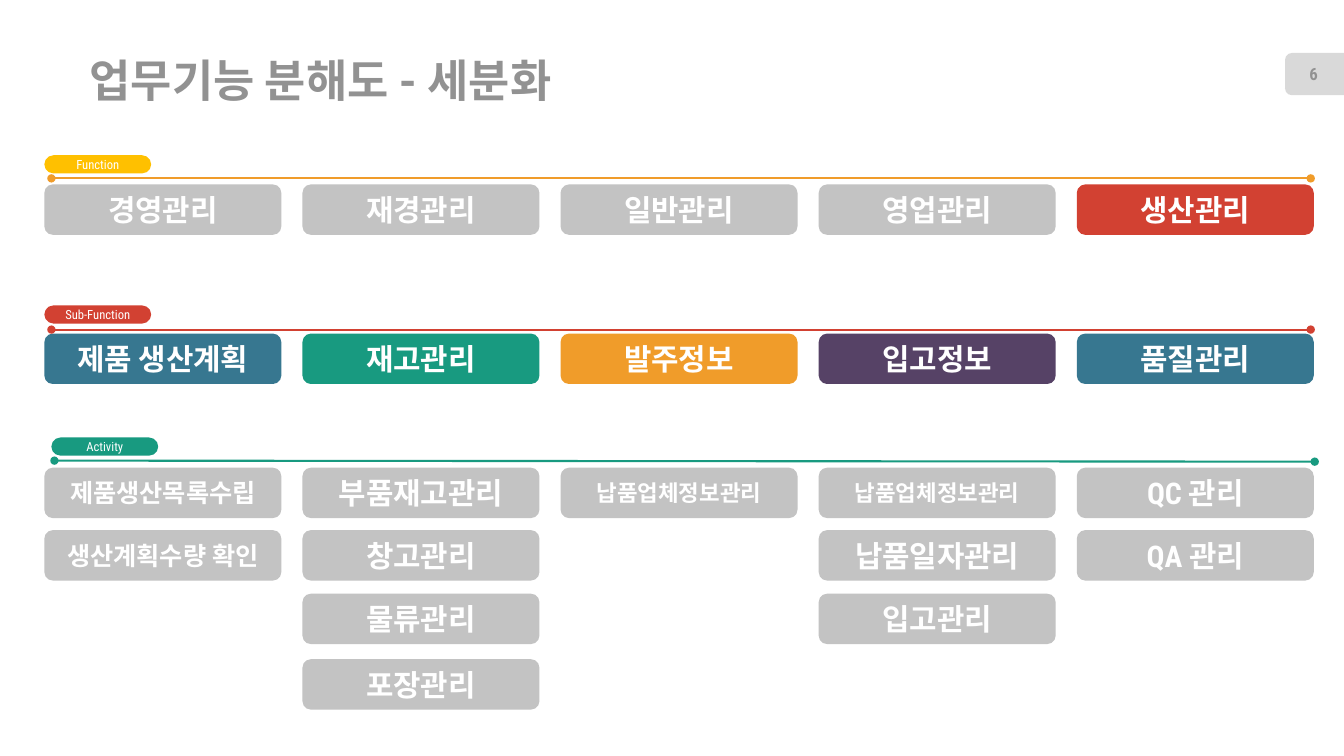
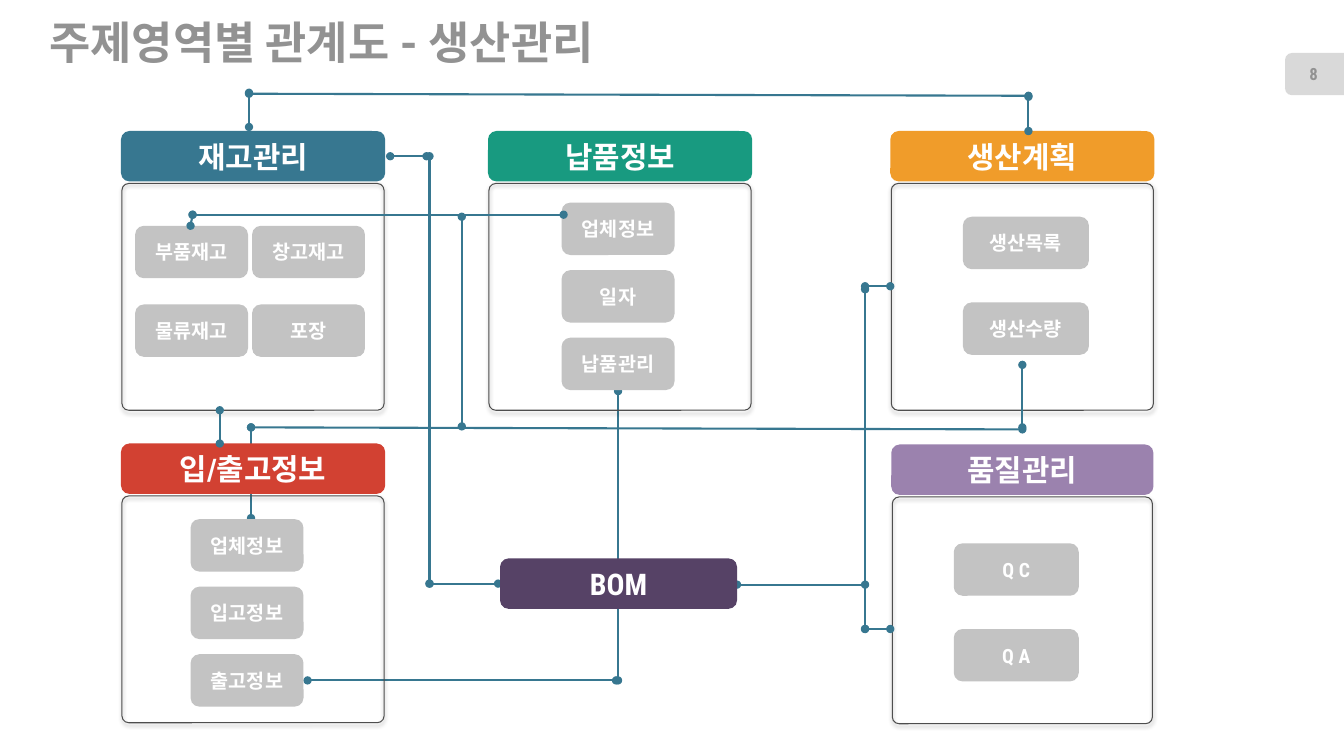
from pptx import Presentation
from pptx.dml.color import RGBColor
from pptx.enum.shapes import MSO_CONNECTOR, MSO_SHAPE
from pptx.enum.text import MSO_ANCHOR, MSO_AUTO_SIZE, PP_ALIGN
from pptx.oxml import parse_xml
from pptx.oxml.ns import nsdecls, qn
from pptx.util import Inches, Pt

WHITE = RGBColor(0xFF, 0xFF, 0xFF)
TITLE_GRAY = RGBColor(0x92, 0x92, 0x92)
BADGE_GRAY = RGBColor(0xD9, 0xD9, 0xD9)
BOX_GRAY = RGBColor(0xC3, 0xC3, 0xC3)
FRAME_GRAY = RGBColor(0x4E, 0x4E, 0x4E)
BLUE = RGBColor(0x37, 0x77, 0x90)
GREEN = RGBColor(0x18, 0x9A, 0x80)
ORANGE = RGBColor(0xF0, 0x9C, 0x2A)
RED = RGBColor(0xD2, 0x41, 0x32)
YELLOW = RGBColor(0xFF, 0xC0, 0x00)
PURPLE = RGBColor(0x56, 0x42, 0x66)
LILAC = RGBColor(0x9B, 0x82, 0xAE)

TITLE_FONT = "Roboto"
BODY_FONT = "Roboto Condensed"
BOX_SIZE = 21.3
ITEM_SIZE = 14
BOX_WIDTH, BOX_HEIGHT = 2.35, 0.5

FRAME_SHADOW = (
    f'<a:effectLst {nsdecls("a")}>'
    f'<a:outerShdw blurRad="{Pt(3.1)}" dist="{Pt(1.6)}" dir="5400000" rotWithShape="0">'
    '<a:srgbClr val="000000"><a:alpha val="38000"/></a:srgbClr>'
    "</a:outerShdw></a:effectLst>"
)


class Deck:
    """Holds the presentation, its style and the slide being filled."""

    def __init__(self):
        self.presentation = Presentation()
        self.presentation.slide_width = Inches(13.33)
        self.presentation.slide_height = Inches(7.5)
        self.page = None

    def add_page(self, title, number, left, top):
        layout = self.presentation.slide_layouts[5]
        self.page = self.presentation.slides.add_slide(layout)
        self.title(title, left, top)
        badge = self.shape(MSO_SHAPE.ROUND_2_SAME_RECTANGLE, 12.83, 0.44, 0.42, 0.59, BADGE_GRAY)
        badge.rotation = 270
        label = self.page.shapes.add_textbox(
            Inches(12.75), Inches(0.53), Inches(0.56), Inches(0.4))
        self.set_text(label, number, 12, color=TITLE_GRAY)

    def title(self, text, left, top):
        title = self.page.shapes.title
        title.left, title.top = Inches(left), Inches(top)
        title.width, title.height = Inches(8.22), Inches(0.52)
        self.set_text(title, text, 32, color=TITLE_GRAY, font=TITLE_FONT,
                      align=PP_ALIGN.LEFT, wrap=False)

    def set_text(self, box, text, size, color=WHITE, font=BODY_FONT, bold=True,
                 align=PP_ALIGN.CENTER, wrap=True):
        frame = box.text_frame
        frame.auto_size = MSO_AUTO_SIZE.NONE
        frame.word_wrap = wrap
        frame.vertical_anchor = MSO_ANCHOR.MIDDLE
        frame.margin_left = frame.margin_right = 0
        frame.margin_top = frame.margin_bottom = 0
        frame.text = text
        paragraph = frame.paragraphs[0]
        paragraph.alignment = align
        paragraph.font.name = font
        paragraph.font.size = Pt(size)
        paragraph.font.bold = bold
        paragraph.font.color.rgb = color

    def shape(self, kind, left, top, width, height, fill):
        shape = self.page.shapes.add_shape(
            kind, Inches(left), Inches(top), Inches(width), Inches(height))
        shape.shadow.inherit = False
        shape.fill.solid()
        shape.fill.fore_color.rgb = fill
        shape.line.fill.background()
        return shape

    def box(self, text, left, top, fill=BOX_GRAY, width=BOX_WIDTH, height=BOX_HEIGHT,
            size=BOX_SIZE):
        box = self.shape(MSO_SHAPE.ROUNDED_RECTANGLE, left, top, width, height, fill)
        self.set_text(box, text, size)

    def pill(self, text, left, top, fill):
        pill = self.shape(MSO_SHAPE.ROUNDED_RECTANGLE, left, top, 1.06, 0.18, fill)
        pill.adjustments[0] = 0.5
        self.set_text(pill, text, 9, bold=False)

    def frame(self, left, top, width, height):
        """Outlined, unfilled box with a soft shadow."""
        frame = self.page.shapes.add_shape(
            MSO_SHAPE.ROUNDED_RECTANGLE,
            Inches(left), Inches(top), Inches(width), Inches(height))
        frame.adjustments[0] = 0.03
        frame.fill.background()
        frame.line.color.rgb = FRAME_GRAY
        frame.line.width = Pt(0.75)
        frame.element.spPr.append(parse_xml(FRAME_SHADOW))

    def panel(self, text, left, top, width, fill):
        """Coloured header with an outlined area below it."""
        self.box(text, left, top, fill, width)
        self.frame(left + 0.01, top + 0.52, width - 0.02, 2.25)

    def line(self, start_x, start_y, end_x, end_y, color=BLUE):
        """Line with a dot at each end."""
        line = self.page.shapes.add_connector(
            MSO_CONNECTOR.STRAIGHT,
            Inches(start_x), Inches(start_y), Inches(end_x), Inches(end_y))
        line.line.color.rgb = color
        line.line.width = Pt(1.5)
        properties = line.element.spPr
        outline = properties.find(qn("a:ln"))
        for end in ("headEnd", "tailEnd"):
            outline.append(parse_xml(f'<a:{end} {nsdecls("a")} type="oval"/>'))
        properties.append(parse_xml(f'<a:effectLst {nsdecls("a")}/>'))


def add_breakdown(deck):
    deck.add_page("업무기능 분해도 - 세분화", "6", 0.89, 0.53)
    columns = [0.44 + 2.56 * index for index in range(5)]
    levels = [
        (1.83, [("경영관리", BOX_GRAY), ("재경관리", BOX_GRAY), ("일반관리", BOX_GRAY),
                ("영업관리", BOX_GRAY), ("생산관리", RED)]),
        (3.31, [("제품 생산계획", BLUE), ("재고관리", GREEN), ("발주정보", ORANGE),
                ("입고정보", PURPLE), ("품질관리", BLUE)]),
    ]
    for top, entries in levels:
        for left, (text, fill) in zip(columns, entries):
            deck.box(text, left, top, fill)

    activity_tops = [4.64, 5.26, 5.89, 6.54]
    activities = [
        ["제품생산목록수립", "생산계획수량 확인"],
        ["부품재고관리", "창고관리", "물류관리", "포장관리"],
        ["납품업체정보관리"],
        ["납품업체정보관리", "납품일자관리", "입고관리"],
        ["QC 관리", "QA 관리"],
    ]
    smaller_sizes = {"제품생산목록수립": 18, "생산계획수량 확인": 18, "납품업체정보관리": 16}
    for left, names in zip(columns, activities):
        for top, text in zip(activity_tops, names):
            deck.box(text, left, top, size=smaller_sizes.get(text, BOX_SIZE))

    deck.line(13.04, 4.58, 0.54, 4.57, GREEN)
    deck.line(13, 3.27, 0.51, 3.27, RED)
    deck.line(13, 1.77, 0.51, 1.77, ORANGE)
    deck.pill("Function", 0.44, 1.54, YELLOW)
    deck.pill("Sub-Function", 0.44, 3.03, RED)
    deck.pill("Activity", 0.51, 4.34, GREEN)


def add_relations(deck):
    deck.add_page("주제영역별 관계도 - 생산관리", "8", 0.49, 0.15)
    lines_behind = [
        (2.49, 4.24, 2.49, 5.14),
        (6.13, 3.88, 6.13, 6.75),
        (6.11, 6.75, 3.05, 6.75),
    ]
    for ends in lines_behind:
        deck.line(*ends)

    panels = [
        ("재고관리", 1.2, 1.3, 2.62, BLUE),
        ("납품정보", 4.84, 1.3, 2.62, GREEN),
        ("생산계획", 8.83, 1.3, 2.62, ORANGE),
        ("입/출고정보", 1.2, 4.4, 2.62, RED),
        ("품질관리", 8.84, 4.41, 2.6, LILAC),
    ]
    for panel in panels:
        deck.panel(*panel)

    # Each stack: left, first top, step, width, names
    stacks = [
        (1.34, 2.24, 0.78, 1.12, ["부품재고", "물류재고"]),
        (2.5, 2.24, 0.78, 1.12, ["창고재고", "포장"]),
        (5.57, 2.01, 0.67, 1.12, ["업체정보", "일자", "납품관리"]),
        (1.89, 5.15, 0.67, 1.12, ["업체정보", "입고정보", "출고정보"]),
        (9.55, 2.15, 0.85, 1.25, ["생산목록", "생산수량"]),
        (9.46, 5.39, 0.85, 1.24, ["Q C", "Q A"]),
    ]
    for left, first_top, step, width, names in stacks:
        for index, text in enumerate(names):
            deck.box(text, left, first_top + index * step,
                     width=width, height=0.52, size=ITEM_SIZE)

    lines_in_front = [
        (10.14, 4.26, 2.49, 4.24),
        (10.14, 3.62, 10.14, 4.24),
        (2.18, 4.07, 2.18, 4.4),
        (2.47, 0.92, 2.47, 1.26),
        (10.2, 0.96, 10.2, 1.3),
        (10.2, 0.95, 2.47, 0.93),
        (4.23, 1.55, 3.87, 1.55),
        (4.94, 5.79, 4.26, 5.79),
        (4.26, 1.55, 4.26, 5.79),
        (8.58, 5.8, 7.31, 5.8),
        (8.83, 2.84, 8.58, 2.84),
        (8.83, 6.24, 8.58, 6.24),
        (8.58, 2.87, 8.58, 6.24),
        (4.58, 2.15, 4.58, 4.23),
        (5.59, 2.13, 1.91, 2.13),
        (1.91, 2.13, 1.89, 2.24),
    ]
    for ends in lines_in_front:
        deck.line(*ends)
    deck.box("BOM", 4.96, 5.54, PURPLE)


def main():
    deck = Deck()
    add_breakdown(deck)
    add_relations(deck)
    deck.presentation.save("out.pptx")


if __name__ == "__main__":
    main()
